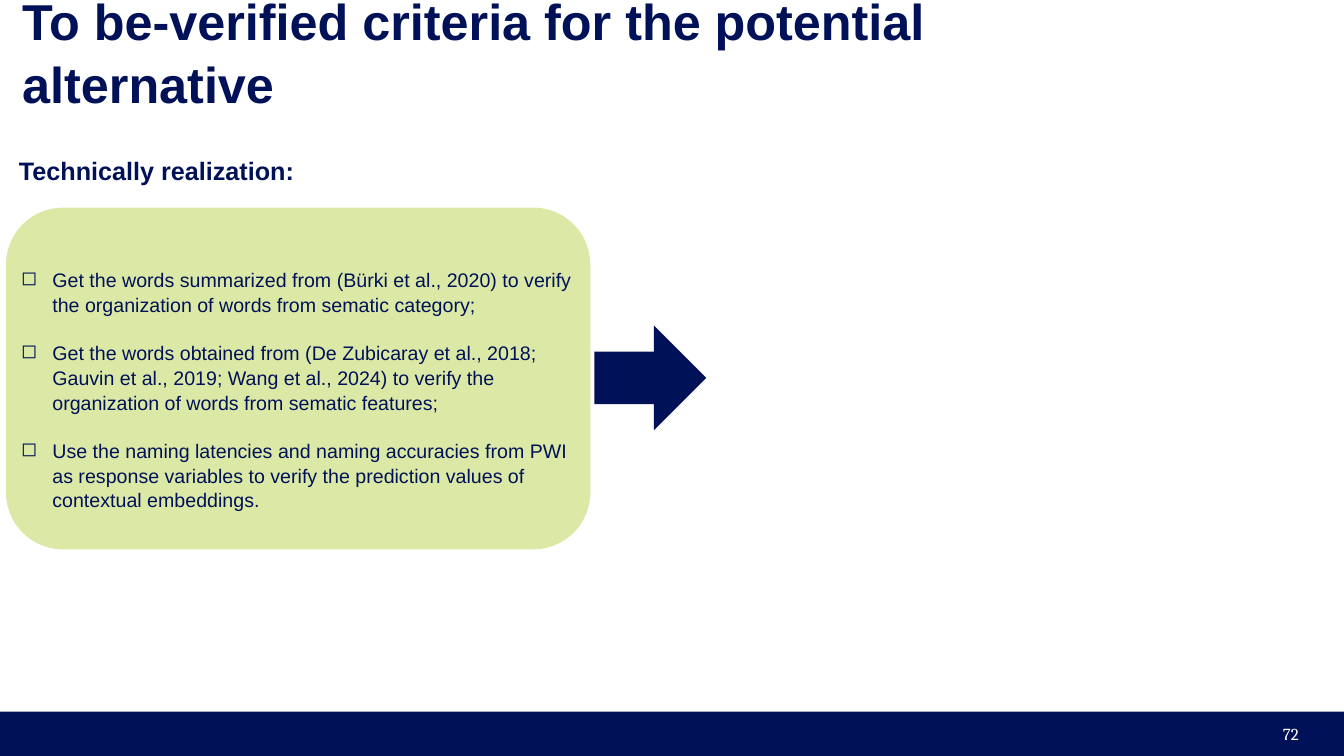
from dataclasses import dataclass
from lxml.etree import SubElement
from pptx import Presentation
from pptx.dml.color import RGBColor
from pptx.enum.shapes import MSO_SHAPE as Preset
from pptx.enum.text import MSO_ANCHOR as Anchor, PP_ALIGN as Align
from pptx.oxml.ns import qn
from pptx.util import Pt


@dataclass(frozen=True)
class Theme:
    navy: RGBColor = RGBColor.from_string("001158")
    lime: RGBColor = RGBColor.from_string("DCE9A6")
    white: RGBColor = RGBColor.from_string("FFFFFF")
    font: str = "Arial"
    number_font: str = "Cambria"
    title_size: int = 36
    heading_size: int = 18
    body_size: int = 14
    number_size: int = 12
    line_spacing: float = 1.05


theme = Theme()
presentation = Presentation()
presentation.slide_width, presentation.slide_height = Pt(960.48), Pt(540)
slide = presentation.slides.add_slide(presentation.slide_layouts[6])


def add_block(preset, left, top, width, height, color):
    shape = slide.shapes.add_shape(preset, Pt(left), Pt(top), Pt(width), Pt(height))
    shape.shadow.inherit = False
    shape.fill.solid()
    shape.fill.fore_color.rgb = color
    shape.line.fill.background()


def add_text(left, top, width, height, text, size, color=theme.navy,
             font=theme.font, bold=False, inset=None, anchor=Anchor.TOP):
    box = slide.shapes.add_textbox(Pt(left), Pt(top), Pt(width), Pt(height))
    frame = box.text_frame
    frame.word_wrap = True
    frame.vertical_anchor = anchor
    if inset is not None:
        frame.margin_left = frame.margin_right = Pt(inset)
        frame.margin_top = frame.margin_bottom = Pt(inset)
    lines = [text] if isinstance(text, str) else text
    for index, line in enumerate(lines):
        paragraph = frame.paragraphs[0] if index == 0 else frame.add_paragraph()
        run = paragraph.add_run()
        run.text = line
        run.font.name, run.font.size, run.font.bold = font, Pt(size), bold
        run.font.color.rgb = color
    return frame


# Footer bar with slide number
add_block(Preset.RECTANGLE, 0, 508.32, 960.48, 31.68, theme.navy)
number = add_text(719.28, 509.76, 216, 28.8, "72", theme.number_size,
                  theme.white, theme.number_font, anchor=Anchor.MIDDLE)
number.paragraphs[0].alignment = Align.RIGHT

# Title and heading
title = add_text(15.84, -1.44, 725.76, 74.88,
                 "To be-verified criteria for the potential alternative",
                 theme.title_size, bold=True, inset=0, anchor=Anchor.MIDDLE)
title.paragraphs[0].line_spacing = theme.line_spacing
add_text(6.48, 107.28, 221.04, 28.8, "Technically realization:",
         theme.heading_size, bold=True)

# Criteria panel with bullets
add_block(Preset.ROUNDED_RECTANGLE, 4.32, 148.32, 417.6, 244.08, theme.lime)
criteria = add_text(6.48, 182.16, 415.44, 174.24, [
    "Get the words summarized from (Bürki et al., 2020) to verify the "
    "organization of words from sematic category;",
    "Get the words obtained from (De Zubicaray et al., 2018; Gauvin et al., 2019; "
    "Wang et al., 2024) to verify the organization of words from sematic features;",
    "Use the naming latencies and naming accuracies from PWI as response variables "
    "to verify the prediction values of contextual embeddings.",
], theme.body_size, inset=8.64)
for index, paragraph in enumerate(criteria.paragraphs):
    paragraph.line_spacing = theme.line_spacing
    if index:
        paragraph.space_before = Pt(16.9)
    properties = paragraph._p.get_or_add_pPr()
    properties.set("marL", str(Pt(22.32)))
    properties.set("indent", str(-Pt(22.32)))
    SubElement(properties, qn("a:buChar")).set("char", "◻")

# Arrow leading out of the panel
add_block(Preset.RIGHT_ARROW, 424.8, 232.56, 79.92, 74.88, theme.navy)

presentation.save("out.pptx")
